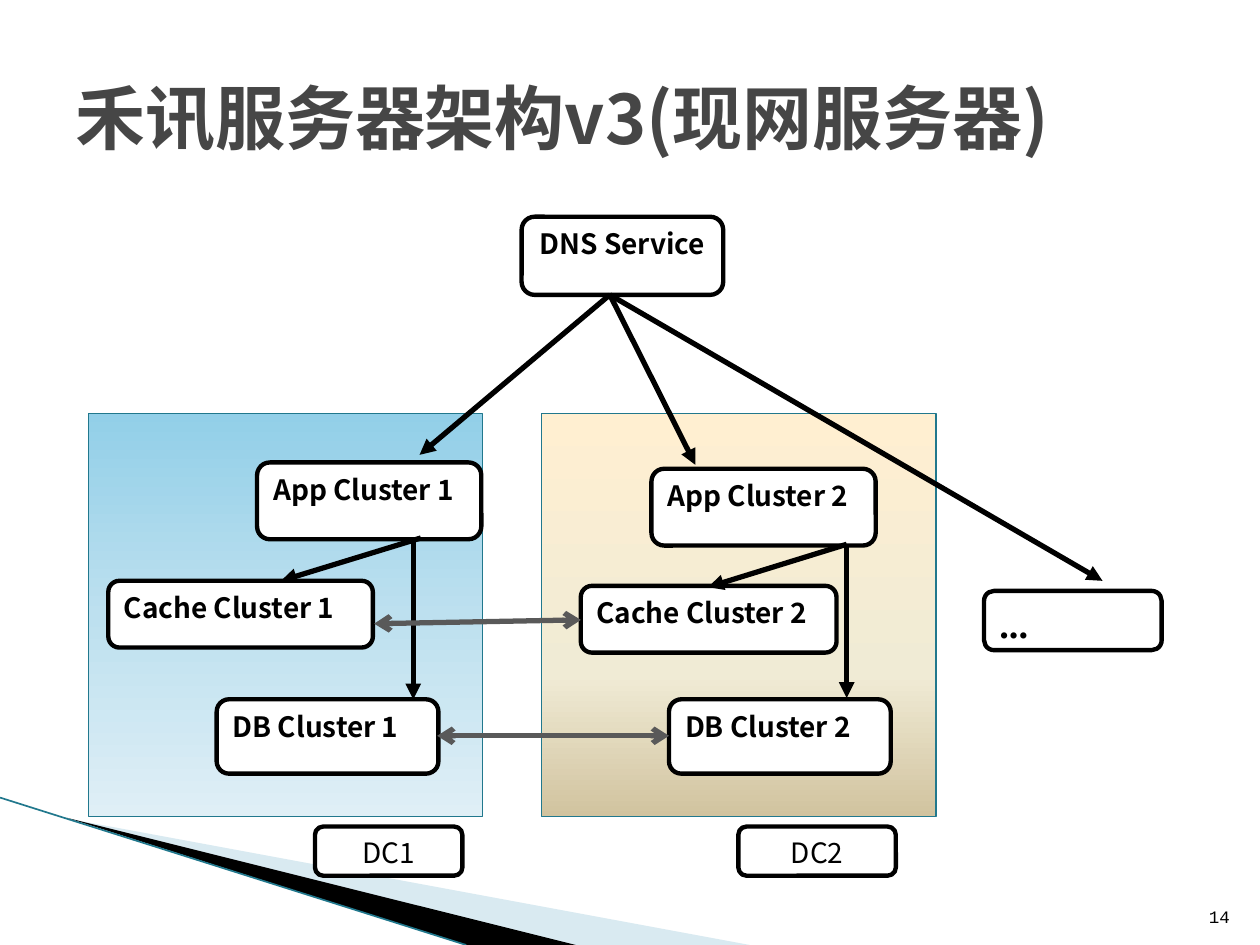
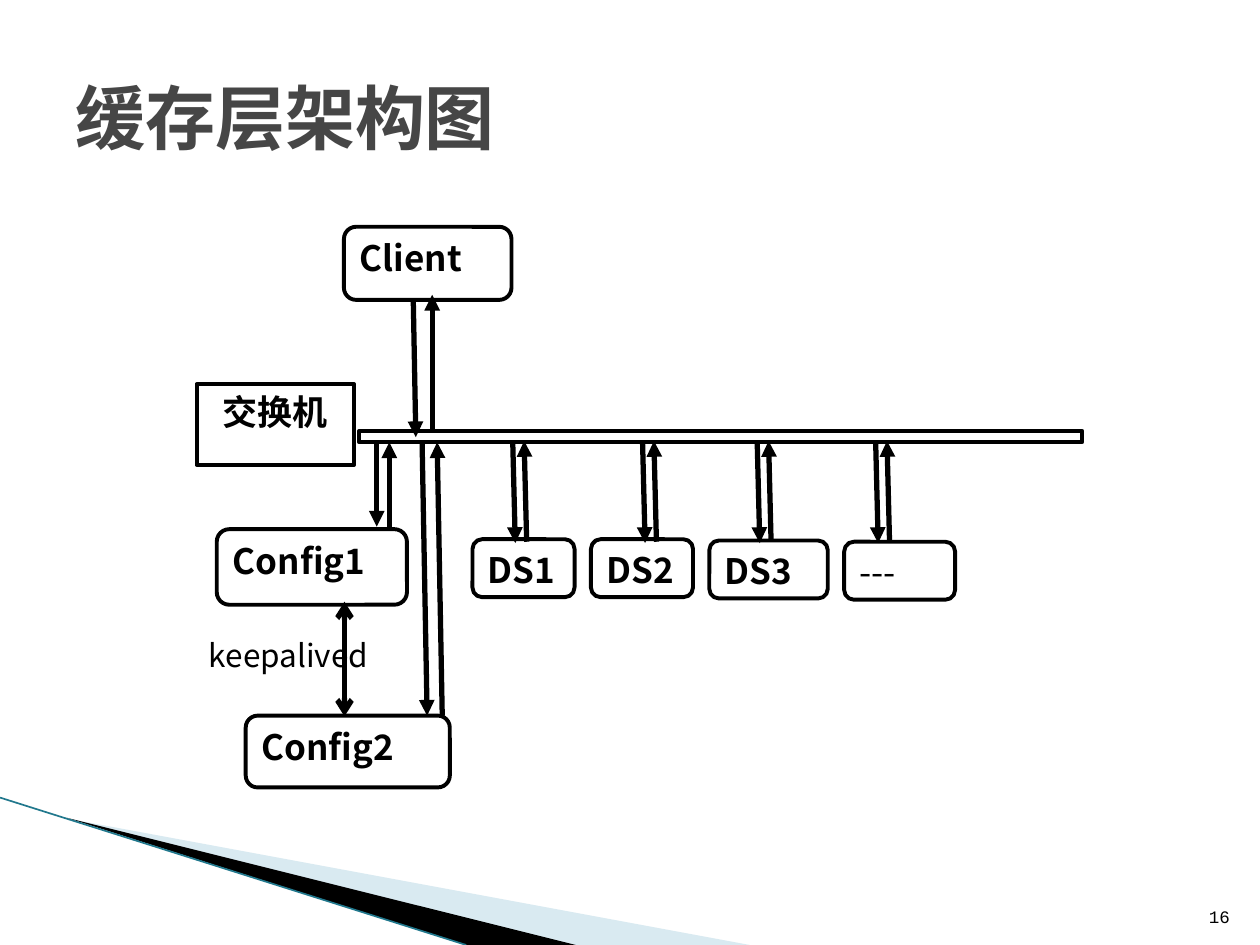
from lxml.etree import SubElement
from pptx import Presentation
from pptx.dml.color import RGBColor
from pptx.enum.shapes import MSO_CONNECTOR, MSO_SHAPE
from pptx.enum.text import MSO_ANCHOR, MSO_AUTO_SIZE, PP_ALIGN
from pptx.oxml.ns import qn
from pptx.util import Cm, Pt

COLOURS = {
    "ink": "000000",
    "paper": "FFFFFF",
    "title": "464646",
    "sync": "595959",
    "teal": "21788D",
    "ribbon": "A0CBDC",
}
BLUE_STOPS = [(0, "92CFE8"), (50, "BDE0EF"), (100, "DFEFF6")]
SAND_STOPS = [(0, "FFEFD1"), (65, "F0EBD5"), (100, "D1C39F")]
SANS = "Noto Sans CJK SC"
ALIGN = {
    "left": PP_ALIGN.LEFT,
    "center": PP_ALIGN.CENTER,
    "right": PP_ALIGN.RIGHT,
    "justify": PP_ALIGN.JUSTIFY,
}


def length(inches):
    return Cm(inches * 2.54)


def lengths(values):
    return [length(value) for value in values]


def colour(name):
    return RGBColor.from_string(COLOURS[name])


def apply(target, values):
    for name, value in values.items():
        setattr(target, name, value)


class Painter:
    def __init__(self, deck, box_size, box_line):
        self.page = deck.slides.add_slide(deck.slide_layouts[6])
        self.shapes = self.page.shapes
        self.box_size = box_size
        self.box_line = box_line

    def words(self, frame, text, size, bold=False, align="left", font=SANS, ink="ink", after=0):
        para = frame.paragraphs[0]
        apply(para, {"alignment": ALIGN[align], "space_after": Pt(after)})
        span = para.add_run()
        span.text = text
        apply(span.font, {"size": Pt(size), "bold": bold, "name": font})
        span.font.color.rgb = colour(ink)
        SubElement(span.font._element, qn("a:ea"), typeface=font)

    def label(self, text, place, size, anchor=MSO_ANCHOR.TOP, grow=False, **look):
        frame = self.shapes.add_textbox(*lengths(place)).text_frame
        fit = MSO_AUTO_SIZE.SHAPE_TO_FIT_TEXT if grow else MSO_AUTO_SIZE.NONE
        apply(frame, {"word_wrap": not grow, "auto_size": fit, "vertical_anchor": anchor})
        self.words(frame, text, size, **look)

    def box(self, place, text="", kind=MSO_SHAPE.ROUNDED_RECTANGLE, size=None, bold=True, **look):
        box = self.shapes.add_shape(kind, *lengths(place))
        box.shadow.inherit = False
        box.fill.solid()
        box.fill.fore_color.rgb = colour("paper")
        box.line.color.rgb = colour("ink")
        box.line.width = Pt(self.box_line)
        apply(box.text_frame, {"word_wrap": True, "vertical_anchor": MSO_ANCHOR.TOP})
        if text:
            self.words(box.text_frame, text, size or self.box_size, bold, after=10, **look)

    def zone(self, place, stops):
        zone = self.shapes.add_shape(MSO_SHAPE.RECTANGLE, *lengths(place))
        zone.shadow.inherit = False
        zone.line.color.rgb = colour("teal")
        zone.line.width = Pt(0)
        zone.fill.gradient()
        zone.fill.gradient_angle = 270
        stop_list = zone._element.spPr.find(qn("a:gradFill")).find(qn("a:gsLst"))
        for stop in list(stop_list):
            stop_list.remove(stop)
        for position, value in stops:
            stop = SubElement(stop_list, qn("a:gs"), pos=str(position * 1000))
            SubElement(stop, qn("a:srgbClr"), val=value)

    def line(self, start, end, ink="ink", width=3, head=None, tail="triangle",
             kind=MSO_CONNECTOR.STRAIGHT, turn=0):
        line = self.shapes.add_connector(kind, *lengths(start + end))
        line.line.color.rgb = colour(ink)
        line.line.width = Pt(width)
        properties = line._element.spPr
        outline = properties.find(qn("a:ln"))
        for tag, arrow in (("a:headEnd", head), ("a:tailEnd", tail)):
            if arrow:
                SubElement(outline, qn(tag), type=arrow)
        if turn:
            properties.find(qn("a:xfrm")).set("rot", str(turn * 60000))
        SubElement(properties, qn("a:effectLst"))

    def sync(self, start, end, **look):
        self.line(start, end, head="arrow", tail="arrow", **look)

    def polygon(self, points, ink, opacity=100):
        corners = [tuple(lengths(point)) for point in points]
        builder = self.shapes.build_freeform(*corners[0], scale=1.0)
        builder.add_line_segments(corners[1:], close=True)
        shape = builder.convert_to_shape()
        shape.shadow.inherit = False
        shape.fill.solid()
        shape.fill.fore_color.rgb = colour(ink)
        shape.line.fill.background()
        if opacity < 100:
            tint = shape._element.spPr.find(qn("a:solidFill"))[0]
            SubElement(tint, qn("a:alpha"), val=str(opacity * 1000))

    def ribbon(self):
        self.polygon([(0.55, 6.5), (5.95, 7.5), (4.56, 7.5)], "ribbon", 40)
        self.polygon([(0.53, 6.49), (4.57, 7.5), (3.7, 7.5)], "ink")
        self.line((0, 6.33), (3.7, 7.5), "teal", 0.95, tail=None)

    def heading(self, title, number):
        self.label(title, (0.5, 0.3, 9, 1.25), 40, MSO_ANCHOR.MIDDLE, bold=True, ink="title")
        self.label(number, (9.46, 7.01, 0.4, 0.4), 10, MSO_ANCHOR.BOTTOM,
                   align="right", font="Courier New")


def draw_servers(deck):
    art = Painter(deck, box_size=16, box_line=2.5)
    art.ribbon()
    for left, stops in ((4.3, SAND_STOPS), (0.7, BLUE_STOPS)):
        art.zone((left, 3.28, 3.13, 3.2), stops)
    art.heading("禾讯服务器架构v3(现网服务器)", "14")
    art.box((4.14, 1.72, 1.6, 0.62), "DNS Service", align="center")
    art.box((7.81, 4.69, 1.41, 0.47), "...", size=22, font="Times New Roman")
    for left, top, number in ((2.04, 3.67, 1), (5.17, 3.72, 2)):
        art.box((left, top, 1.78, 0.61), f"App Cluster {number}")
    art.box((4.61, 4.65, 2.03, 0.53), "Cache Cluster 2")
    for target in ((3.33, 3.61), (5.52, 3.69), (8.75, 4.61)):
        art.line((4.84, 2.34), target)
    art.line((3.34, 4.27), (2.23, 4.61))
    art.line((3.28, 4.28), (3.28, 5.55))
    art.line((6.72, 4.32), (5.62, 4.66))
    art.line((6.72, 4.33), (6.72, 5.54))
    art.box((0.86, 4.61, 2.1, 0.53), "Cache Cluster 1")
    for left, number in ((1.72, 1), (5.31, 2)):
        art.box((left, 5.55, 1.76, 0.59), f"DB Cluster {number}")
    art.sync((3.47, 5.84), (5.31, 5.84), ink="sync")
    art.sync((2.97, 4.95), (4.61, 4.92), ink="sync")
    for left, width, name in ((2.5, 1.17, "DC1"), (5.86, 1.25, "DC2")):
        art.box((left, 6.56, width, 0.39), name, bold=False, align="center")


def draw_cache(deck):
    art = Painter(deck, box_size=20, box_line=2.25)
    art.ribbon()
    art.heading("缓存层架构图", "16")
    art.box((2.73, 1.8, 1.33, 0.58), "Client")
    art.box((1.72, 4.2, 1.51, 0.6), "Config1")
    art.box((2.85, 3.42, 5.74, 0.09), kind=MSO_SHAPE.RECTANGLE)
    art.box((1.56, 3.05, 1.25, 0.64), "交换机", MSO_SHAPE.RECTANGLE, align="center")
    art.box((1.95, 5.68, 1.62, 0.57), "Config2")
    for left, top, width, name in ((3.75, 4.28, 0.81, "DS1"), (4.69, 4.28, 0.81, "DS2"),
                                   (5.63, 4.29, 0.94, "DS3")):
        art.box((left, top, width, 0.46), name)
    art.box((6.7, 4.3, 0.88, 0.46), "---", bold=False, align="justify")
    art.line((3.28, 2.38), (3.3, 3.47))
    art.line((3.43, 3.43), (3.43, 2.34))
    art.line((2.99, 3.51), (2.99, 4.18))
    art.line((3.09, 4.2), (3.09, 3.51))
    art.line((3.35, 3.51), (3.39, 5.68))
    art.line((3.51, 5.68), (3.47, 3.51))
    for x in (4.07, 5.1, 6.01, 6.95):
        art.line((x, 3.52), (x + 0.02, 4.31))
        art.line((x + 0.11, 4.3), (x + 0.09, 3.5))
    art.sync((3.19, 5.23), (2.28, 5.23), kind=MSO_CONNECTOR.ELBOW, turn=270)
    art.label("keepalived", (1.56, 5, 1.49, 0.4), 18, grow=True)


deck = Presentation()
apply(deck, {"slide_width": Cm(25.4), "slide_height": Cm(19.05)})
draw_servers(deck)
draw_cache(deck)
deck.save("out.pptx")
